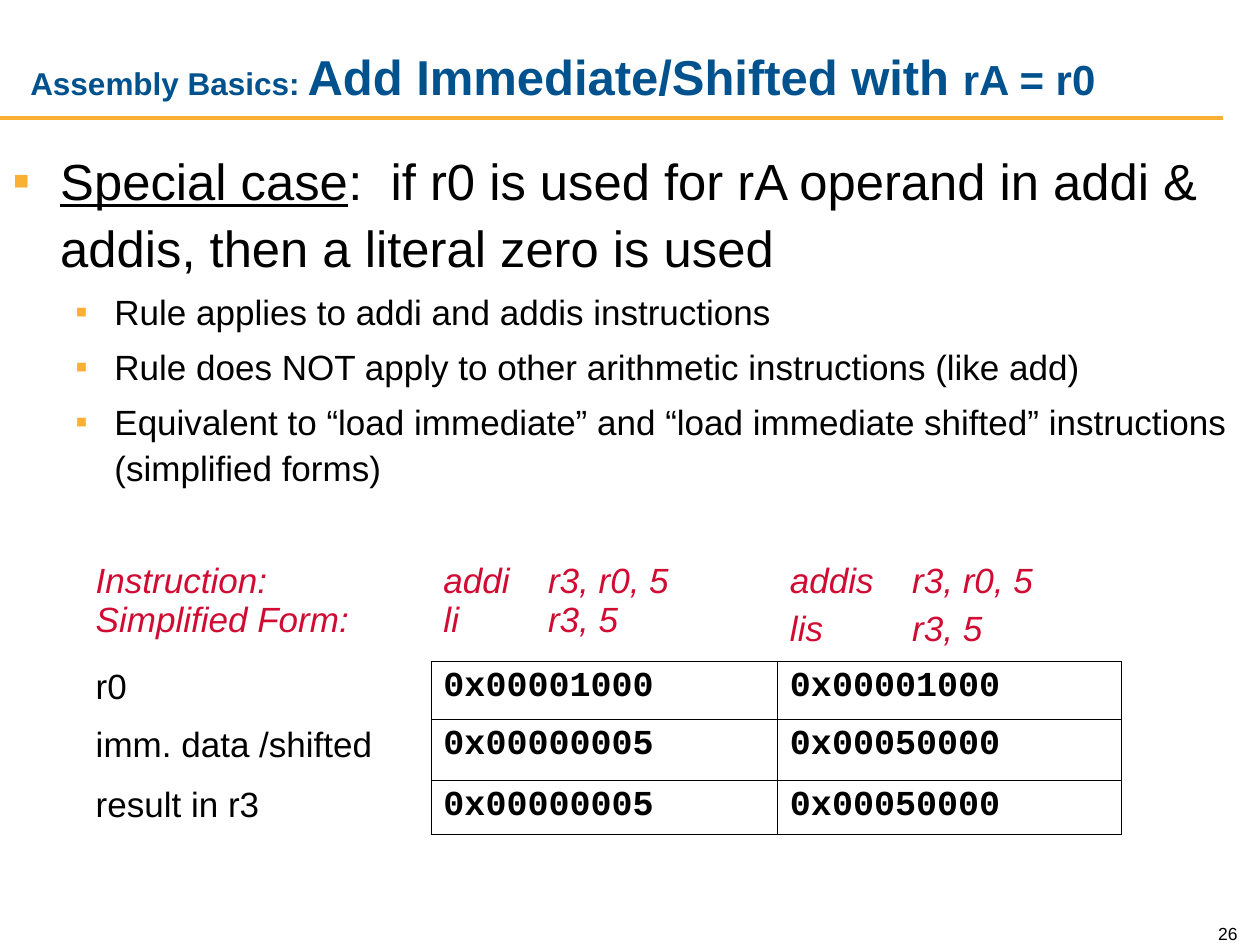
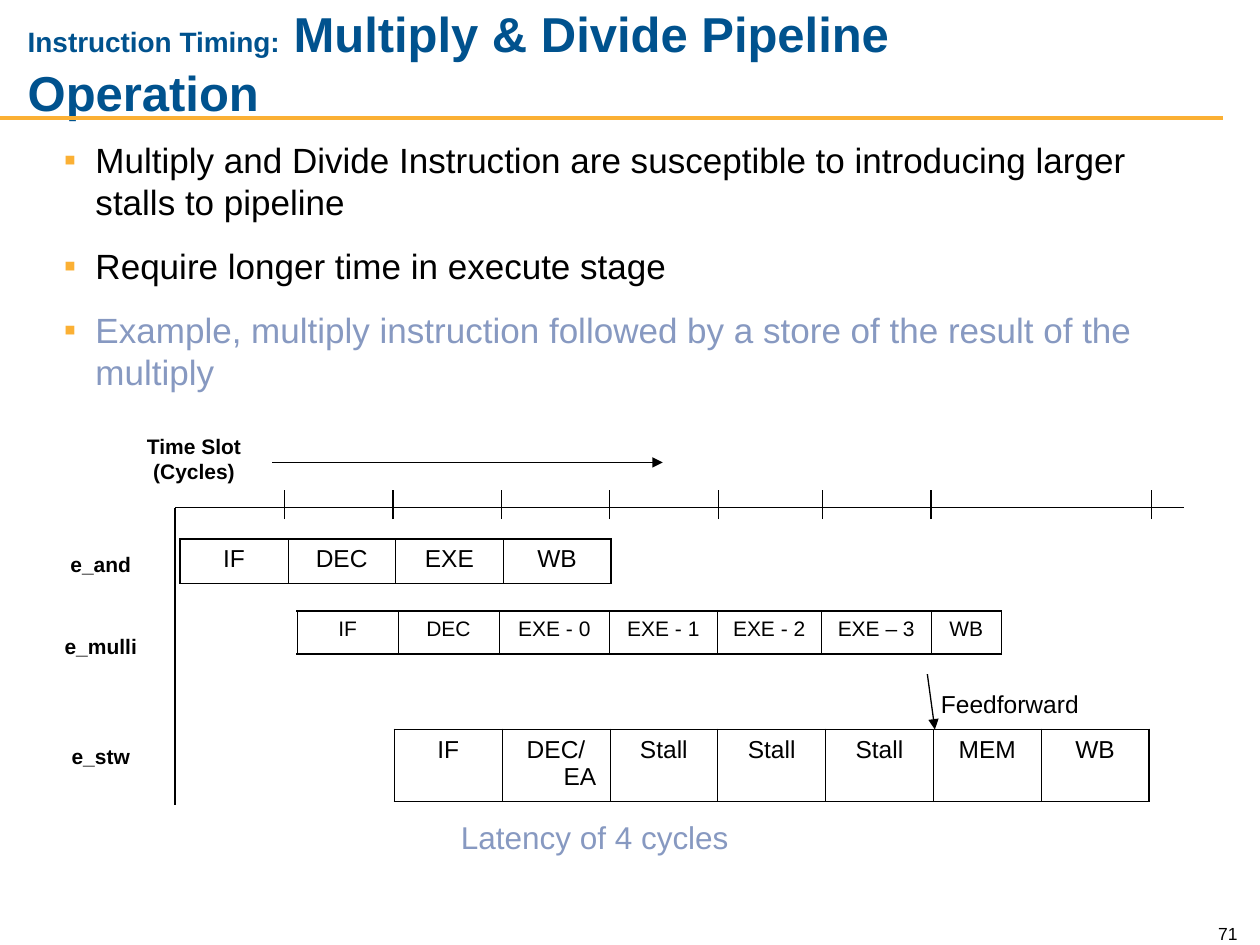
from lxml import etree
from pptx import Presentation
from pptx.dml.color import RGBColor
from pptx.enum import shapes, text
from pptx.oxml import ns
from pptx.util import Inches, Pt

HUES = {"ink": "000000", "title": "00528E", "gold": "FBB034",
        "red": "D00C33", "soft": "8799C1"}
LEFT, MID, RIGHT = text.PP_ALIGN.LEFT, text.PP_ALIGN.CENTER, text.PP_ALIGN.RIGHT
THIN, THICK = 0.45, 1.08


def sub(node, tag, **attrs):
    """Append a drawing element and return it."""
    return etree.SubElement(node, ns.qn("a:" + tag), attrs)


class Deck:
    def __init__(self):
        self.prs = Presentation()
        self.prs.slide_width, self.prs.slide_height = Inches(10), Inches(7.5)
        self.slide = None

    def page(self, parts, box, num):
        """Start a slide with its title, gold rule and page number."""
        self.slide = self.prs.slides.add_slide(self.prs.slide_layouts[5])
        self.line((0, 0.94), (9.71, 0.94), "gold", 2.25)
        title = self.slide.shapes.title
        title.left, title.top, title.width, title.height = map(Inches, box)
        frame = title.text_frame
        frame.auto_size = text.MSO_AUTO_SIZE.NONE
        frame.vertical_anchor = text.MSO_ANCHOR.MIDDLE
        self.para(frame.paragraphs[0], parts, hue="title", bold=True)
        self.note((9.42, 7.24, 0.5, 0.3), [num], size=10, align=RIGHT,
                  anchor=text.MSO_ANCHOR.BOTTOM)

    def para(self, p, parts, align=LEFT, ind=None, before=0, gap=None,
             bullet=False, tab=None, **style):
        """Fill a paragraph from a string or a list of (text, format) runs."""
        p.alignment = align
        props = p._p.get_or_add_pPr()
        if ind:
            props.set("marL", str(Inches(ind[0])))
            props.set("indent", str(Inches(ind[1])))
        if bullet:
            sub(sub(props, "buClr"), "srgbClr", val=HUES["gold"])
            sub(props, "buFont", typeface="Arial")
            sub(props, "buChar", char="▪")
        if tab:
            sub(sub(props, "tabLst"), "tab", pos=str(Inches(tab)), algn="l")
        p.space_before = Pt(before)
        if gap:
            p.line_spacing = gap
        for words, extra in [(parts, {})] if isinstance(parts, str) else parts:
            if words == "\n":
                p.add_line_break()
                continue
            run = p.add_run()
            run.text = words
            look = {"name": "Arial", "size": 20, "hue": "ink", **style, **extra}
            run.font.color.rgb = RGBColor.from_string(HUES[look.pop("hue")])
            look["size"] = Pt(look["size"])
            for key, val in look.items():
                setattr(run.font, key, val)

    def fill(self, frame, items, before=0, **style):
        """Write one paragraph per item; an item may be (parts, format)."""
        for i, item in enumerate(items):
            parts, extra = item if isinstance(item, tuple) else (item, {})
            p = frame.add_paragraph() if i else frame.paragraphs[0]
            look = {"before": before, **style, **extra}
            if not i:
                look["before"] = 0
            self.para(p, parts, **look)

    def note(self, box, items, anchor=text.MSO_ANCHOR.TOP, **style):
        frame = self.slide.shapes.add_textbox(*map(Inches, box)).text_frame
        frame.word_wrap = True
        frame.vertical_anchor = anchor
        self.fill(frame, items, **style)

    def line(self, start, end, hue="ink", width=0.75, arrow=False):
        link = self.slide.shapes.add_connector(
            shapes.MSO_CONNECTOR.STRAIGHT, *map(Inches, start + end))
        link.line.color.rgb = RGBColor.from_string(HUES[hue])
        link.line.width = Pt(width)
        if arrow:
            sub(link.line._get_or_add_ln(), "tailEnd", type="triangle")
        sub(link._element.spPr, "effectLst")

    def table(self, spot, cols, rows, cells, edges, **style):
        """Draw a table; edges(row, col) gives the L, R, T, B line widths."""
        box = (*spot, sum(cols), sum(rows))
        grid = self.slide.shapes.add_table(
            len(rows), len(cols), *map(Inches, box)).table
        grid.first_row = grid.horz_banding = False
        for col, wide in zip(grid.columns, cols):
            col.width = Inches(wide)
        for r, (row, high) in enumerate(zip(cells, rows)):
            grid.rows[r].height = Inches(high)
            for c, items in enumerate(row):
                cell = grid.cell(r, c)
                self.fill(cell.text_frame, items, **style)
                self.edge(cell, edges(r, c))
                cell.fill.background()

    def edge(self, cell, widths):
        props = cell._tc.get_or_add_tcPr()
        for side, width in zip("LRTB", widths):
            ln = sub(props, "ln" + side, w=str(Pt(width)))
            if width:
                sub(sub(ln, "solidFill"), "srgbClr", val=HUES["ink"])
            else:
                sub(ln, "noFill")

    def pipe(self, spot, cols, high, stages, size):
        """Draw the stages of one instruction as a single-row table."""
        last = len(cols) - 1

        def edges(r, c):
            return (THIN if c else THICK, THIN if c < last else THICK,
                    THICK, THICK)

        self.table(spot, cols, [high], [[[s] for s in stages]], edges,
                   size=size, align=MID, ind=(0.38, -0.38))


def special(deck):
    deck.page([("Assembly Basics:", {"size": 18}), (" ", {"size": 16}),
               ("Add Immediate/Shifted with ", {"size": 28}),
               ("rA = r0", {"size": 24})], (0.14, 0.16, 8.78, 0.88), "26")
    rules = ["Rule applies to addi and addis instructions",
             "Rule does NOT apply to other arithmetic instructions (like add)",
             "Equivalent to “load immediate” and “load immediate shifted” "
             "instructions (simplified forms)"]
    lead = [("Special case", {"underline": True}),
            (":  if r0 is used for rA operand in addi & addis, "
             "then a literal zero is used", {})]
    deck.note((0, 1.09, 10, 5.06),
              [(lead, {"size": 29, "ind": (0.38, -0.38)}), *rules],
              bullet=True, gap=1.1, before=5, ind=(0.81, -0.31))

    head = {"hue": "red", "italic": True}
    code = {"name": "Courier New", "bold": True}
    brk = ("\n", {})
    cells = [[
        [([("Instruction:", {}), brk, ("Simplified Form:", {})], head)],
        [([("addi\tr3, r0, 5", {}), brk, ("li\tr3, 5", {})],
          {**head, "tab": 0.83})],
        [(words, {**head, "tab": 0.97})
         for words in ("addis\tr3, r0, 5", "lis\tr3, 5")],
    ]]
    for name, plain, shift in (("r0", "0x00001000", "0x00001000"),
                               ("imm. data /shifted", "0x00000005", "0x00050000"),
                               ("result in r3", "0x00000005", "0x00050000")):
        cells.append([[name], [(plain, code)], [(shift, code)]])

    def edges(r, c):
        inner = THIN if r and c else 0
        return inner, THIN if r else 0, inner, THIN if c else 0

    deck.table((0.66, 4.41), [2.76, 2.75, 2.73], [0.84, 0.46, 0.48, 0.43],
               cells, edges, before=5)


def timing(deck):
    deck.page([("Instruction Timing:", {"size": 16}),
               (" Multiply & Divide Pipeline Operation", {"size": 28})],
              (0.12, 0.12, 8.91, 0.75), "71")
    deck.note((0.41, 1.05, 8.96, 2.12),
              ["Multiply and Divide Instruction are susceptible to "
               "introducing larger stalls to pipeline",
               "Require longer time in execute stage",
               ("Example, multiply instruction followed by a store of the "
                "result of the multiply", {"hue": "soft"})],
              bullet=True, before=12.5, ind=(0.25, -0.25))

    axis = (1.39, 4.03)
    deck.line(axis, (9.4, 4.03))
    deck.line(axis, (1.39, 6.39))
    for x in [2.26 + 0.86 * i for i in range(5)] + [6.53, 7.39, 9.14]:
        deck.line((x, 4.12), (x, 3.89))
    deck.line((2.16, 3.67), (5.26, 3.67), arrow=True)

    label = {"size": 12, "bold": True, "align": MID}
    deck.note((0.99, 3.39, 1.1, 0.5), ["Time Slot (Cycles)"], **label)
    for name, y in (("e_and", 4.33), ("e_mulli", 4.98), ("e_stw", 5.85)):
        deck.note((0.25, y, 1.1, 0.3), [name], **label)

    deck.pipe((1.43, 4.28), [3.42 / 4] * 4, 0.35,
              ["IF", "DEC", "EXE", "WB"], 14)
    deck.pipe((2.36, 4.85), [0.8, 0.8, 0.88, 0.85, 0.83, 0.87, 0.56], 0.34,
              ["IF", "DEC", "EXE - 0", "EXE - 1", "EXE - 2", "EXE – 3", "WB"], 12)
    deck.pipe((3.13, 5.79), [5.99 / 7] * 7, 0.57,
              ["IF", "DEC/EA", *["Stall"] * 3, "MEM", "WB"], 14)

    deck.line((7.36, 5.35), (7.42, 5.79), arrow=True)
    deck.note((7.37, 5.42, 1.3, 0.34), ["Feedforward"], size=14)
    deck.note((2.66, 6.44, 4.12, 0.4), ["Latency of 4 cycles"],
              size=18, hue="soft", align=MID)


def main():
    deck = Deck()
    special(deck)
    timing(deck)
    deck.prs.save("out.pptx")


if __name__ == "__main__":
    main()
